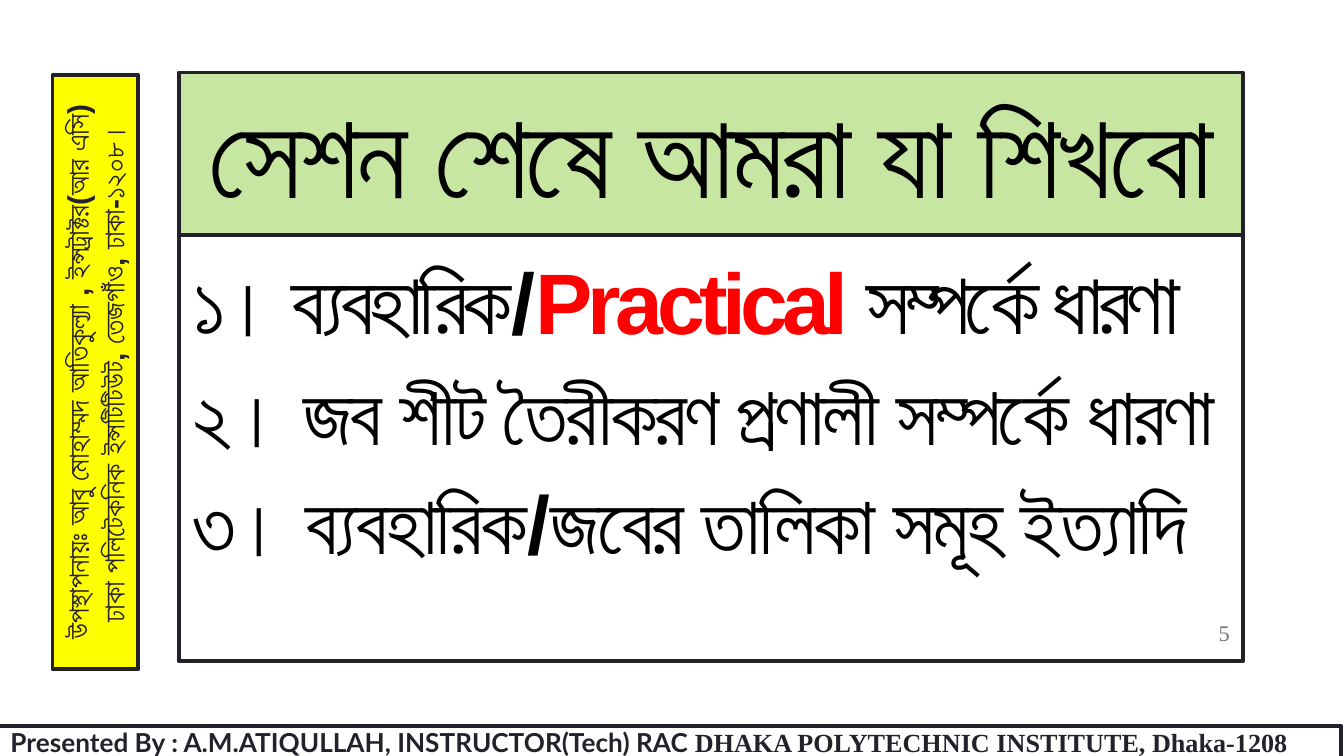
from dataclasses import dataclass

from lxml import etree
from pptx import Presentation
from pptx.dml.color import RGBColor
from pptx.enum.shapes import MSO_SHAPE
from pptx.enum.text import MSO_ANCHOR, MSO_AUTO_SIZE, PP_ALIGN
from pptx.oxml.ns import qn
from pptx.util import Pt

RECTANGLE = MSO_SHAPE.RECTANGLE
TOP, MIDDLE, BOTTOM = MSO_ANCHOR.TOP, MSO_ANCHOR.MIDDLE, MSO_ANCHOR.BOTTOM
LEFT, CENTER, RIGHT = PP_ALIGN.LEFT, PP_ALIGN.CENTER, PP_ALIGN.RIGHT
NO_AUTOFIT = MSO_AUTO_SIZE.NONE


@dataclass(frozen=True)
class Theme:
    sans: str = "Arial"
    serif: str = "Times New Roman"
    caption: str = "Lato"
    ink: str = "25212A"
    black: str = "000000"
    red: str = "FF0000"
    gray: str = "797281"
    white: str = "FFFFFF"
    green: str = "C6E6A2"
    yellow: str = "FFFF00"
    title_size: int = 63
    lead_size: int = 46
    item_size: int = 44
    presenter_size: int = 16
    footer_size: int = 14
    number_size: int = 12
    border: int = 2


THEME = Theme()


@dataclass(frozen=True)
class Style:
    size: int
    color: str
    font: str = THEME.sans
    bold: bool = True
    tracking: float = 0


HEADING = Style(THEME.title_size, THEME.black, tracking=-1.5)
LEAD = Style(THEME.lead_size, THEME.black, tracking=-3)
LEAD_ACCENT = Style(THEME.lead_size, THEME.red, tracking=-3)
ITEM = Style(THEME.item_size, THEME.black, tracking=-1.5)
PRESENTER = Style(THEME.presenter_size, THEME.ink)
FOOTER = Style(THEME.footer_size, THEME.ink, THEME.caption)
FOOTER_SERIF = Style(THEME.footer_size, THEME.ink, THEME.serif)
NUMBER = Style(THEME.number_size, THEME.gray, THEME.serif, bold=False)

# Each text is a list of paragraphs; each paragraph is a list of (words, style).
TITLE_TEXT = [[("সেশন শেষে আমরা যা শিখবো", HEADING)]]
TOPICS_TEXT = [
    [("১। ব্যবহারিক/", LEAD), ("Practical ", LEAD_ACCENT), ("সম্পর্কে ধারণা", LEAD)],
    [("২। জব শীট তৈরীকরণ প্রণালী সম্পর্কে ধারণা", ITEM)],
    [("৩। ব্যবহারিক/জবের তালিকা সমূহ ইত্যাদি", ITEM)],
]
PRESENTER_TEXT = [
    [("উপস্থাপনায়ঃ আবু মোহাম্মদ আতিকুল্যা , ইন্সট্রাক্টর(আর এসি)", PRESENTER)],
    [("ঢাকা পলিটেকনিক ইন্সটিটিউট, তেজগাঁও, ঢাকা-১২০৮।", PRESENTER)],
]
FOOTER_TEXT = [[
    ("Presented By : A.M.ATIQULLAH, INSTRUCTOR(Tech) RAC ", FOOTER),
    ("DHAKA POLYTECHNIC INSTITUTE, Dhaka-1208", FOOTER_SERIF),
]]
NUMBER_TEXT = [[("5", NUMBER)]]

SLIDE_WIDTH, SLIDE_HEIGHT = 720, 405
PANEL_LEFT, PANEL_TOP, PANEL_WIDTH = 95.76, 38.88, 570.24
TITLE_HEIGHT, TOPICS_HEIGHT = 87.12, 228.24
NUMBER_WIDTH, NUMBER_HEIGHT = 43.2, 30.96
PRESENTER_LENGTH, PRESENTER_THICKNESS = 318.24, 46.08
PRESENTER_CENTER = (51.12, 199.44)
INSET = 7.2


def place(shape, left, top, width, height):
    shape.left, shape.top = Pt(left), Pt(top)
    shape.width, shape.height = Pt(width), Pt(height)


def paint(shape, fill):
    """Fill the shape and give it the common dark border."""
    shape.fill.solid()
    shape.fill.fore_color.rgb = RGBColor.from_string(fill)
    shape.line.color.rgb = RGBColor.from_string(THEME.ink)
    shape.line.width = Pt(THEME.border)


def write(shape, paragraphs, align, anchor, gap=0, margin=INSET):
    """Write styled paragraphs; margin is the top and bottom inset."""
    frame = shape.text_frame
    frame.word_wrap = True
    frame.auto_size = NO_AUTOFIT
    frame.vertical_anchor = anchor
    frame.margin_left = frame.margin_right = Pt(INSET)
    frame.margin_top = frame.margin_bottom = Pt(margin)
    for index, pieces in enumerate(paragraphs):
        para = frame.add_paragraph() if index else frame.paragraphs[0]
        para.alignment = align
        para.space_before = Pt(gap if index else 0)
        for words, style in pieces:
            span = para.add_run()
            span.text = words
            span.font.size = Pt(style.size)
            span.font.bold = style.bold
            span.font.name = style.font
            span.font.color.rgb = RGBColor.from_string(style.color)
            properties = span._r.get_or_add_rPr()
            etree.SubElement(properties, qn("a:cs"), typeface=style.font)
            if style.tracking:
                properties.set("spc", str(int(style.tracking * 100)))


def add_panel(slide, left, top, width, height, fill):
    panel = slide.shapes.add_shape(RECTANGLE, Pt(left), Pt(top), Pt(width), Pt(height))
    panel.shadow.inherit = False
    paint(panel, fill)
    return panel


def main():
    deck = Presentation()
    deck.slide_width, deck.slide_height = Pt(SLIDE_WIDTH), Pt(SLIDE_HEIGHT)
    slide = deck.slides.add_slide(deck.slide_layouts[0])
    topics_top = PANEL_TOP + TITLE_HEIGHT

    title = slide.shapes.title
    place(title, PANEL_LEFT, PANEL_TOP, PANEL_WIDTH, TITLE_HEIGHT)
    paint(title, THEME.green)
    write(title, TITLE_TEXT, CENTER, BOTTOM)

    topics = slide.placeholders[1]
    place(topics, PANEL_LEFT, topics_top, PANEL_WIDTH, TOPICS_HEIGHT)
    paint(topics, THEME.white)
    write(topics, TOPICS_TEXT, LEFT, TOP, gap=6)

    number_left = PANEL_LEFT + PANEL_WIDTH - NUMBER_WIDTH
    number_top = topics_top + TOPICS_HEIGHT - NUMBER_HEIGHT
    number = slide.shapes.add_textbox(
        Pt(number_left), Pt(number_top), Pt(NUMBER_WIDTH), Pt(NUMBER_HEIGHT))
    write(number, NUMBER_TEXT, RIGHT, MIDDLE)

    center_x, center_y = PRESENTER_CENTER
    presenter = add_panel(
        slide, center_x - PRESENTER_LENGTH / 2, center_y - PRESENTER_THICKNESS / 2,
        PRESENTER_LENGTH, PRESENTER_THICKNESS, THEME.yellow)
    presenter.rotation = 270
    write(presenter, PRESENTER_TEXT, CENTER, TOP, margin=3.6)

    footer = add_panel(slide, -1.44, 388.8, SLIDE_WIDTH, 18, THEME.white)
    write(footer, FOOTER_TEXT, LEFT, MIDDLE, margin=3.6)

    deck.save("out.pptx")


if __name__ == "__main__":
    main()
